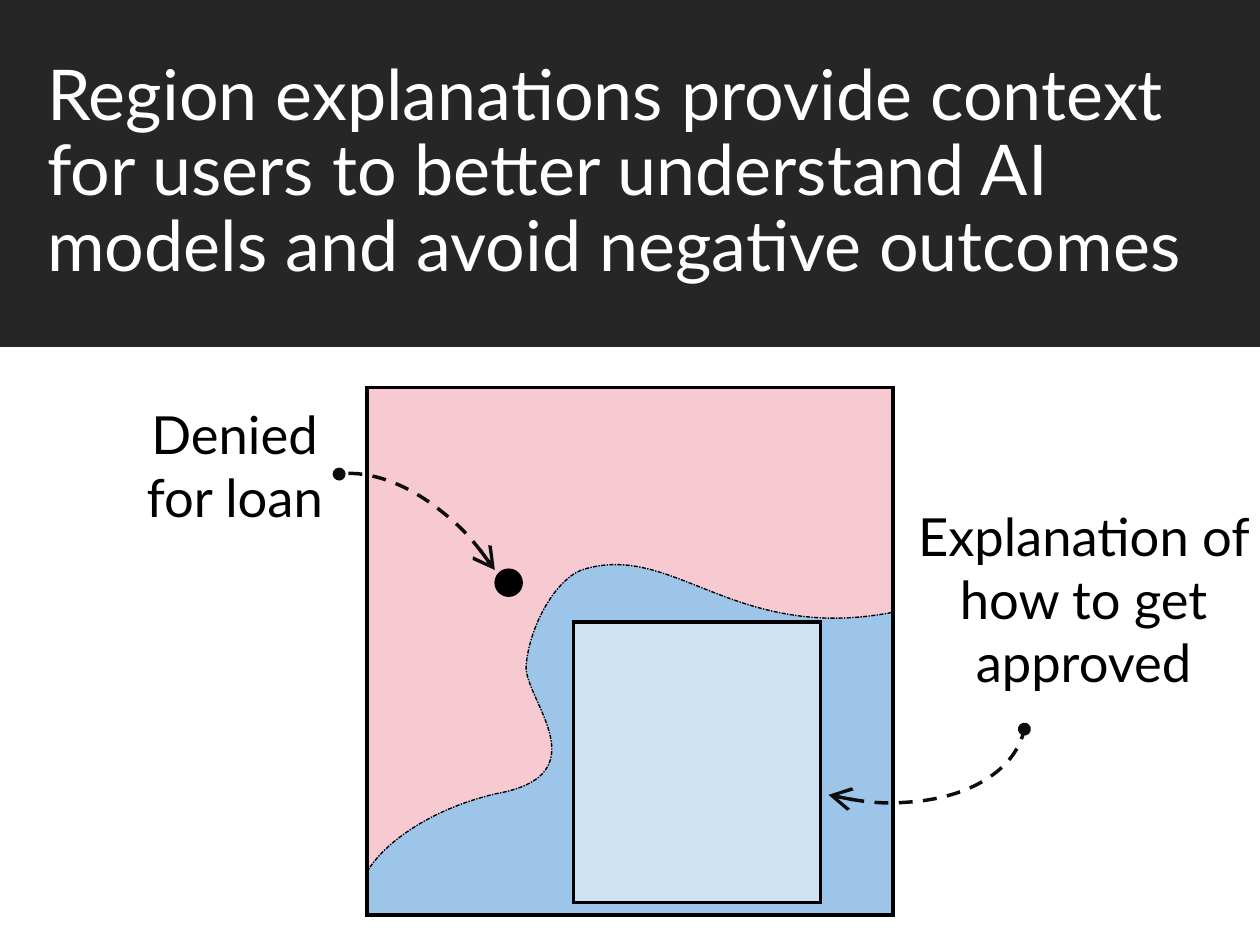
from dataclasses import dataclass

from lxml import etree
from pptx import Presentation
from pptx import util as u
from pptx.dml.color import RGBColor
from pptx.enum import dml, shapes, text
from pptx.oxml.ns import qn

PX = u.Inches(1) // 100  # 100 px to the inch
PANEL = (233, 246, 334, 335)
APPROVED_REGION = (233, 359, 334, 222)
BOUNDARY = (234, 359, 332, 193)
BOUNDARY_PATH = [
    ("moveTo", (566, 389)),
    ("cubicBezTo", (465, 408), (427, 343), (369, 362)),
    ("cubicBezTo", (352, 369), (336, 398), (334, 423)),
    ("cubicBezTo", (333, 444), (382, 492), (315, 504)),
    ("cubicBezTo", (272, 514), (244, 536), (234, 552)),
]


@dataclass(frozen=True)
class Theme:
    font: str = "Lato"
    title_size: int = 32
    label_size: int = 24
    band: str = "262626"
    white: str = "FFFFFF"
    black: str = "000000"
    arrow: str = "0D0D0D"
    denied: str = "F7C9D0"
    approved: str = "9DC5E9"


THEME = Theme()


def px(*lengths):
    return [length * PX for length in lengths]


def paint(shape, fill=None, line=None, width=1.5, dash=None):
    shape.shadow.inherit = False
    if fill:
        shape.fill.solid()
        shape.fill.fore_color.rgb = RGBColor.from_string(fill)
    else:
        shape.fill.background()
    if line:
        shape.line.color.rgb = RGBColor.from_string(line)
        shape.line.width = u.Pt(width)
        if dash:
            shape.line.dash_style = dash
        etree.SubElement(shape.line._get_or_add_ln(), qn("a:miter"), lim="800000")
    else:
        shape.line.fill.background()


def add_preset(container, kind, box, **style):
    shape = container.add_shape(kind, *px(*box))
    paint(shape, **style)
    return shape


def add_outline(container, box, commands=(), **style):
    """Add a freeform that fills box; commands replace its rectangular outline."""
    left, top, width, height = box
    right, bottom = left + width, top + height
    builder = container.build_freeform(*px(left, top))
    builder.add_line_segments(
        [px(right, top), px(right, bottom), px(left, bottom)], close=True)
    shape = builder.convert_to_shape()
    paint(shape, **style)
    if commands:
        outline = shape._element.spPr.find(".//" + qn("a:path"))
        for command in list(outline):
            outline.remove(command)
        for name, *points in commands:
            command = etree.SubElement(outline, qn("a:" + name))
            for x, y in points:
                local_x, local_y = px(x - left, y - top)
                etree.SubElement(command, qn("a:pt"), x=str(local_x), y=str(local_y))
    return shape


def add_regions(slide):
    left, top, width, height = PANEL
    right, bottom = left + width, top + height
    corners = [(left, 556), (left, bottom), (right, bottom), (right, 388)]
    region_path = BOUNDARY_PATH + [("lnTo", corner) for corner in corners] + [("close",)]
    regions = slide.shapes.add_group_shape().shapes
    add_outline(regions, PANEL, fill=THEME.denied)
    add_outline(regions, APPROVED_REGION, region_path, fill=THEME.approved)
    boundary = add_outline(regions, BOUNDARY, BOUNDARY_PATH, line=THEME.black,
                           width=0.62, dash=dml.MSO_LINE.DASH_DOT)
    dash = boundary.line._get_or_add_ln().find(qn("a:prstDash"))
    dash.set("val", "sysDashDot")
    add_outline(regions, PANEL, line=THEME.black, width=1.66)


def add_explanation_box(slide):
    box = add_preset(slide.shapes, shapes.MSO_SHAPE.RECTANGLE, (364, 395, 157, 178),
                     fill=THEME.white, line=THEME.black)
    color = box.fill._xPr.find(qn("a:solidFill"))[0]
    etree.SubElement(color, qn("a:alpha"), val="50000")


def add_arc_arrow(slide, box, rotation, flip, end_angle):
    """Draw a dashed arc with an arrowhead at its start and a dot at its end."""
    arc = add_preset(slide.shapes, shapes.MSO_SHAPE.ARC, box, line=THEME.arrow,
                     width=1.6, dash=dml.MSO_LINE.DASH)
    arc.adjustments[0] = 164.23
    arc.adjustments[1] = end_angle
    arc.rotation = rotation
    arc._element.spPr.find(qn("a:xfrm")).set(flip, "1")
    line = arc.line._get_or_add_ln()
    etree.SubElement(line, qn("a:headEnd"), type="arrow", w="lg", len="lg")
    etree.SubElement(line, qn("a:tailEnd"), type="oval")


def format_paragraph(paragraph, size, color, alignment):
    paragraph.alignment = alignment
    paragraph.font.name = THEME.font
    paragraph.font.size = u.Pt(size)
    paragraph.font.color.rgb = RGBColor.from_string(color)


def add_label(slide, box, *lines):
    frame = slide.shapes.add_textbox(*px(*box)).text_frame
    frame.word_wrap = True
    frame.auto_size = text.MSO_AUTO_SIZE.SHAPE_TO_FIT_TEXT
    frame.text = "\n".join(lines)
    for paragraph in frame.paragraphs:
        format_paragraph(paragraph, THEME.label_size, THEME.black, text.PP_ALIGN.CENTER)


def add_title(slide, words):
    band = add_preset(slide.shapes, shapes.MSO_SHAPE.RECTANGLE, (0, 0, 800, 219),
                      fill=THEME.band, line=THEME.band)
    title = slide.shapes.title
    title._element.addprevious(band._element)
    title.left, title.top, title.width, title.height = px(20, 0, 745, 220)
    frame = title.text_frame
    frame.text = words
    frame.auto_size = text.MSO_AUTO_SIZE.NONE
    frame.vertical_anchor = text.MSO_ANCHOR.MIDDLE
    paragraph = frame.paragraphs[0]
    paragraph.line_spacing = 0.9
    format_paragraph(paragraph, THEME.title_size, THEME.white, text.PP_ALIGN.LEFT)


def main():
    presentation = Presentation()
    presentation.slide_width, presentation.slide_height = px(800, 600)
    slide = presentation.slides.add_slide(presentation.slide_layouts[5])
    add_title(slide, "Region explanations provide context for users to better "
                     "understand AI models and avoid negative outcomes")
    add_regions(slide)
    add_explanation_box(slide)
    add_preset(slide.shapes, shapes.MSO_SHAPE.OVAL, (315, 362, 16, 16),
               fill=THEME.black, line=THEME.black)
    add_label(slide, (54, 250, 190, 91), "Denied", "for loan")
    add_arc_arrow(slide, (143, 333, 228, 142), 57.4, "flipH", 209.63)
    add_arc_arrow(slide, (426, 364, 228, 142), 15, "flipV", 0.47)
    add_label(slide, (570, 315, 236, 131), "Explanation of how to get approved")
    presentation.save("out.pptx")


if __name__ == "__main__":
    main()
